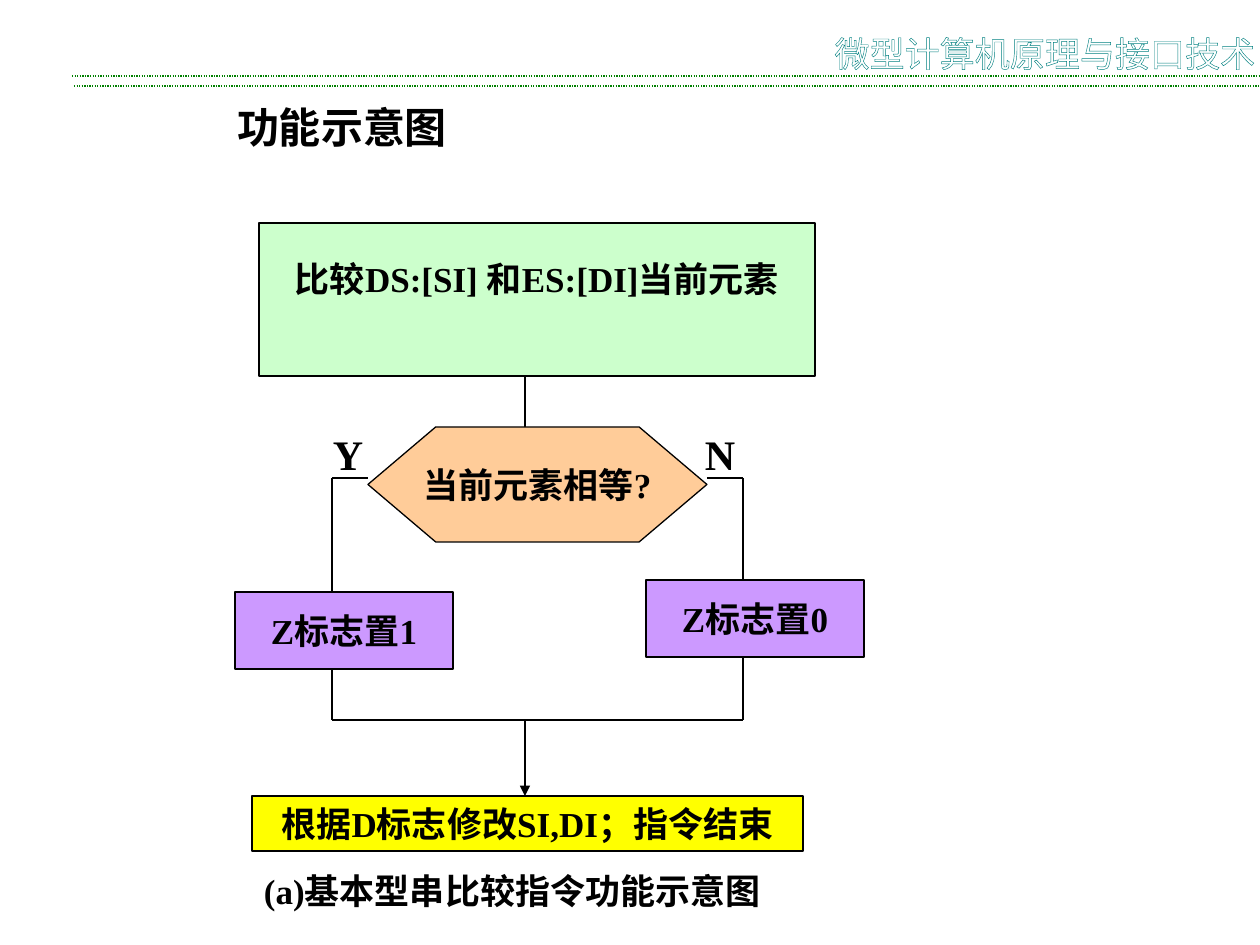
from dataclasses import dataclass

from lxml import etree
from pptx import Presentation
from pptx.dml.color import RGBColor
from pptx.enum.dml import MSO_LINE
from pptx.enum.shapes import MSO_CONNECTOR, MSO_SHAPE
from pptx.enum.text import MSO_ANCHOR, PP_ALIGN
from pptx.oxml.ns import qn
from pptx.util import Emu, Pt

RECTANGLE = MSO_SHAPE.RECTANGLE
PREPARATION = MSO_SHAPE.FLOWCHART_PREPARATION
STRAIGHT = MSO_CONNECTOR.STRAIGHT
DOTTED = MSO_LINE.ROUND_DOT
LEFT, CENTER = PP_ALIGN.LEFT, PP_ALIGN.CENTER
TOP, MIDDLE = MSO_ANCHOR.TOP, MSO_ANCHOR.MIDDLE

PX_PER_INCH = 126
LATIN_FONT = "Times New Roman"
CHINESE_FONT = "Noto Sans CJK SC"
BLACK, WHITE = "000000", "FFFFFF"
GREEN, TEAL = "008000", "008080"
LINE_WIDTH = Pt(0.75)

# Axes of the flowchart, in px
YES_X, MAIN_X, NO_X = 332, 525, 743
BRANCH_Y, MERGE_Y = 478, 720


@dataclass(frozen=True)
class Box:
    text: str
    left: int
    top: int
    width: int
    height: int
    fill: str
    kind: int = RECTANGLE
    bottom_inset: int = 6


@dataclass(frozen=True)
class Label:
    text: str
    left: int
    top: int
    width: int
    height: int
    size: int


@dataclass(frozen=True)
class Line:
    x1: int
    y1: int
    x2: int
    y2: int
    arrow: bool = False


COMPARE = Box("比较DS:[SI] 和ES:[DI]当前元素", 259, 223, 556, 153, "CCFFCC",
              bottom_inset=48)
DECISION = Box("当前元素相等?", 368, 427, 339, 115, "FFCC99", PREPARATION)
SET_ONE = Box("Z标志置1", 235, 592, 218, 77, "CC99FF")
SET_ZERO = Box("Z标志置0", 646, 580, 218, 77, "CC99FF")
FINISH = Box("根据D标志修改SI,DI；指令结束", 252, 796, 551, 55, "FFFF00")
BOXES = [COMPARE, DECISION, SET_ONE, SET_ZERO, FINISH]

HEADER = Label("微型计算机原理与接口技术", 815, 26, 460, 35, 20)
LABELS = [
    Label("功能示意图", 224, 96, 244, 63, 24),
    Label("Y", 320, 423, 60, 63, 24),
    Label("N", 692, 423, 60, 63, 24),
    Label("(a)基本型串比较指令功能示意图", 251, 863, 544, 55, 20),
]

FLOW_LINES = [
    Line(MAIN_X, COMPARE.top + COMPARE.height, MAIN_X, DECISION.top),
    Line(DECISION.left, BRANCH_Y, YES_X, BRANCH_Y),
    Line(YES_X, BRANCH_Y, YES_X, SET_ONE.top),
    Line(DECISION.left + DECISION.width, BRANCH_Y, NO_X, BRANCH_Y),
    Line(NO_X, BRANCH_Y, NO_X, SET_ZERO.top),
    Line(YES_X, SET_ONE.top + SET_ONE.height, YES_X, MERGE_Y),
    Line(NO_X, SET_ZERO.top + SET_ZERO.height, NO_X, MERGE_Y),
    Line(YES_X, MERGE_Y, NO_X, MERGE_Y),
    Line(MAIN_X, MERGE_Y, MAIN_X, FINISH.top, arrow=True),
]
HEADER_LINES = [Line(72, 76, 1260, 76), Line(74, 86, 1260, 86)]


def px(value: int) -> Emu:
    return Emu(round(value * 914400 / PX_PER_INCH))


def rgb(value: str) -> RGBColor:
    return RGBColor.from_string(value)


def write_text(shape, text: str, *, size: int = 20, color: str = BLACK,
               bold: bool = True, font: str = LATIN_FONT, align=LEFT,
               anchor=TOP, bottom_inset: int = 6, outline: str = "") -> None:
    frame = shape.text_frame
    frame.word_wrap = False
    frame.vertical_anchor = anchor
    frame.margin_left = frame.margin_right = px(13)
    frame.margin_top, frame.margin_bottom = px(6), px(bottom_inset)
    paragraph = frame.paragraphs[0]
    paragraph.alignment = align
    run = paragraph.add_run()
    run.text = text
    run.font.size = Pt(size)
    run.font.bold = bold
    run.font.name = font
    run.font.color.rgb = rgb(color)
    properties = run.font._element
    etree.SubElement(properties, qn("a:ea"), typeface=CHINESE_FONT)
    if outline:
        stroke = etree.Element(qn("a:ln"), w=str(LINE_WIDTH))
        fill = etree.SubElement(stroke, qn("a:solidFill"))
        etree.SubElement(fill, qn("a:srgbClr"), val=outline)
        properties.insert(0, stroke)


def draw_box(slide, box: Box) -> None:
    shape = slide.shapes.add_shape(box.kind, px(box.left), px(box.top),
                                   px(box.width), px(box.height))
    shape.shadow.inherit = False
    shape.fill.solid()
    shape.fill.fore_color.rgb = rgb(box.fill)
    shape.line.color.rgb = rgb(BLACK)
    shape.line.width = LINE_WIDTH
    write_text(shape, box.text, align=CENTER, anchor=MIDDLE,
               bottom_inset=box.bottom_inset)


def draw_label(slide, label: Label, **text_format) -> None:
    shape = slide.shapes.add_textbox(px(label.left), px(label.top),
                                     px(label.width), px(label.height))
    write_text(shape, label.text, size=label.size, **text_format)


def draw_line(slide, line: Line, color: str = BLACK, dash=None) -> None:
    connector = slide.shapes.add_connector(STRAIGHT, px(line.x1), px(line.y1),
                                           px(line.x2), px(line.y2))
    connector.line.color.rgb = rgb(color)
    connector.line.width = LINE_WIDTH
    if dash is not None:
        connector.line.dash_style = dash
    if line.arrow:
        etree.SubElement(connector.line._get_or_add_ln(), qn("a:tailEnd"),
                         type="triangle")
    etree.SubElement(connector._element.spPr, qn("a:effectLst"))


def main() -> None:
    presentation = Presentation()
    presentation.slide_width, presentation.slide_height = px(1260), px(945)
    slide = presentation.slides.add_slide(presentation.slide_layouts[6])
    for line in HEADER_LINES:
        draw_line(slide, line, GREEN, DOTTED)
    draw_label(slide, HEADER, font=CHINESE_FONT, color=WHITE, bold=False,
               align=CENTER, outline=TEAL)
    for line in FLOW_LINES:
        draw_line(slide, line)
    for box in BOXES:
        draw_box(slide, box)
    for label in LABELS:
        draw_label(slide, label)
    presentation.save("out.pptx")


if __name__ == "__main__":
    main()
